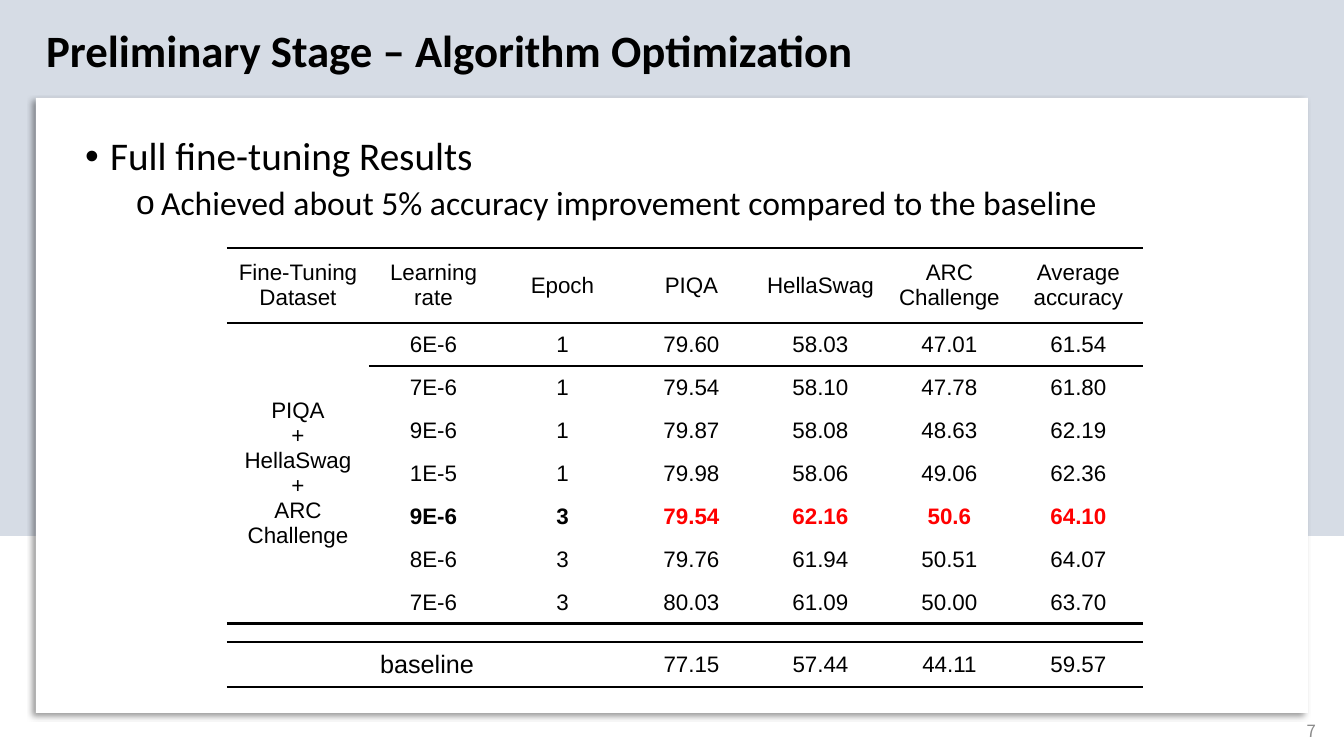
import lxml.etree
import pptx
import pptx.dml.color
import pptx.enum.shapes
import pptx.enum.text
import pptx.oxml.ns
import pptx.util

SCALE = 914400 / 100.8
SLIDE_WIDTH, SLIDE_HEIGHT = 1344, 756
COLORS = {
    "band": "D6DCE5",
    "panel": "FFFFFF",
    "text": "000000",
    "best": "FF0000",
    "number": "8C8C8C",
}
ALIGN = pptx.enum.text.PP_ALIGN
ANCHOR = pptx.enum.text.MSO_ANCHOR
NO_STYLE = "{2D5ABB26-0587-4C30-8999-92F81FD0307C}"
VALUE_WIDTH = 129
CELL_MARGIN = 7

HEADINGS = [
    "Fine-Tuning\nDataset", "Learning\nrate", "Epoch", "PIQA",
    "HellaSwag", "ARC\nChallenge", "Average\naccuracy",
]
DATASET = "PIQA\n+\nHellaSwag\n+\nARC\nChallenge"
RESULTS = [
    ["6E-6", "1", "79.60", "58.03", "47.01", "61.54"],
    ["7E-6", "1", "79.54", "58.10", "47.78", "61.80"],
    ["9E-6", "1", "79.87", "58.08", "48.63", "62.19"],
    ["1E-5", "1", "79.98", "58.06", "49.06", "62.36"],
    ["9E-6", "3", "79.54", "62.16", "50.6", "64.10"],
    ["8E-6", "3", "79.76", "61.94", "50.51", "64.07"],
    ["7E-6", "3", "80.03", "61.09", "50.00", "63.70"],
]
BEST_ROW = 5
BASELINE = ["baseline", "77.15", "57.44", "44.11", "59.57"]


def px(length):
    return pptx.util.Emu(round(length * SCALE))


def rgb(name):
    return pptx.dml.color.RGBColor.from_string(COLORS[name])


def add_element(parent, tag, **attributes):
    element = lxml.etree.SubElement(parent, pptx.oxml.ns.qn(tag))
    for name, value in attributes.items():
        element.set(name, str(value))
    return element


def place(shape, box):
    shape.left, shape.top, shape.width, shape.height = map(px, box)


def write_text(frame, text, size=16, font="Arial", color="text", bold=False,
               align=ALIGN.LEFT):
    frame.text = text
    for paragraph in frame.paragraphs:
        paragraph.alignment = align
        for run in paragraph.runs:
            run.font.size = pptx.util.Pt(size)
            run.font.name = font
            run.font.bold = bold
            run.font.color.rgb = rgb(color)


def add_rectangle(slide, box, color):
    shape = slide.shapes.add_shape(
        pptx.enum.shapes.MSO_SHAPE.RECTANGLE, *map(px, box))
    shape.shadow.inherit = False
    shape.fill.solid()
    shape.fill.fore_color.rgb = rgb(color)
    shape.line.fill.background()
    return shape


def add_backdrop(slide, box):
    left, top, width, height = box
    band = add_rectangle(slide, (left, top, width, 536), "band")
    panel = add_rectangle(
        slide, (left + 36, top + 98, width - 72, height - 141), "panel")
    effects = panel.element.spPr.find(pptx.oxml.ns.qn("a:effectLst"))
    shadow = add_element(
        effects, "a:outerShdw", blurRad=pptx.util.Pt(4), dist=pptx.util.Pt(3),
        dir=135 * 60000, algn="tr", rotWithShape=0)
    shadow_color = add_element(shadow, "a:srgbClr", val=COLORS["text"])
    add_element(shadow_color, "a:alpha", val=40000)
    for position, shape in enumerate((band, panel), start=2):
        shape.element.getparent().insert(position, shape.element)


def fill_title(slide, box):
    title = slide.shapes.title
    place(title, box)
    frame = title.text_frame
    frame.word_wrap = False
    frame.auto_size = pptx.enum.text.MSO_AUTO_SIZE.SHAPE_TO_FIT_TEXT
    frame.vertical_anchor = ANCHOR.TOP
    write_text(frame, "Preliminary Stage – Algorithm Optimization",
               size=32, font="Calibri", bold=True)


def fill_body(slide, box):
    body = slide.placeholders[1]
    place(body, box)
    frame = body.text_frame
    frame.auto_size = pptx.enum.text.MSO_AUTO_SIZE.NONE
    write_text(
        frame,
        "Full fine-tuning Results\n"
        "Achieved about 5% accuracy improvement compared to the baseline",
        size=28, font="Calibri")
    formats = [(0, 25, "•", 28, 0), (1, 76, "o", 24, 5)]
    for paragraph, (level, margin, bullet, size, space) in zip(
            frame.paragraphs, formats):
        properties = paragraph._p.get_or_add_pPr()
        properties.set("marL", str(px(margin)))
        properties.set("indent", str(px(-25)))
        add_element(properties, "a:buChar", char=bullet)
        paragraph.level = level
        paragraph.line_spacing = 0.9
        paragraph.space_before = pptx.util.Pt(space)
        paragraph.runs[0].font.size = pptx.util.Pt(size)


def add_plain_table(slide, box, column_widths, row_heights):
    frame = slide.shapes.add_table(
        len(row_heights), len(column_widths), *map(px, box))
    next(frame.element.iter(pptx.oxml.ns.qn("a:tableStyleId"))).text = NO_STYLE
    table = frame.table
    table.first_row = table.horz_banding = False
    for column, width in zip(table.columns, column_widths):
        column.width = px(width)
    for row, height in zip(table.rows, row_heights):
        row.height = px(height)
    return table


def format_cell(cell, text, borders, **text_format):
    cell.margin_left = cell.margin_right = px(CELL_MARGIN)
    cell.margin_top = cell.margin_bottom = px(CELL_MARGIN)
    cell.vertical_anchor = ANCHOR.MIDDLE
    write_text(cell.text_frame, text, align=ALIGN.CENTER, **text_format)
    properties = cell._tc.get_or_add_tcPr()
    for side in borders:
        line = add_element(properties, f"a:ln{side}", w=pptx.util.Pt(2.25))
        fill = add_element(line, "a:solidFill")
        add_element(fill, "a:srgbClr", val=COLORS["text"])
    cell.fill.background()


def add_results(slide, box):
    width, height = box[2:]
    values = len(HEADINGS) - 1
    row_height = 43
    table = add_plain_table(
        slide, box,
        [width - values * VALUE_WIDTH] + [VALUE_WIDTH] * values,
        [height - len(RESULTS) * row_height] + [row_height] * len(RESULTS))
    last = len(RESULTS)
    row_borders = {0: "TB", 1: "T", last: "B"}
    rows = [HEADINGS] + [[""] + values for values in RESULTS]
    rows[1][0] = DATASET
    table.cell(1, 0).merge(table.cell(last, 0))
    for row, texts in enumerate(rows):
        for column, text in enumerate(texts):
            best = row == BEST_ROW
            borders = "TB" if (row, column) == (1, 0) else row_borders.get(row, "")
            format_cell(table.cell(row, column), text, borders, bold=best,
                        color="best" if best and column > 2 else "text")


def add_baseline(slide, box):
    width, height = box[2:]
    values = len(BASELINE) - 1
    table = add_plain_table(
        slide, box,
        [width - values * VALUE_WIDTH] + [VALUE_WIDTH] * values, [height])
    for column, text in enumerate(BASELINE):
        format_cell(table.cell(0, column), text, "TB",
                    size=16 if column else 18)


def add_page_number(slide, box):
    frame = slide.shapes.add_textbox(*map(px, box)).text_frame
    frame.word_wrap = True
    frame.vertical_anchor = ANCHOR.MIDDLE
    write_text(frame, "7", size=12, font="Noto Sans CJK KR", color="number",
               align=ALIGN.RIGHT)


def main():
    presentation = pptx.Presentation()
    presentation.slide_width = px(SLIDE_WIDTH)
    presentation.slide_height = px(SLIDE_HEIGHT)
    slide = presentation.slides.add_slide(presentation.slide_layouts[1])
    add_backdrop(slide, (0, 0, SLIDE_WIDTH, SLIDE_HEIGHT))
    add_page_number(slide, (1024, 711, 302, 40))
    fill_title(slide, (36, 18, 836, 65))
    fill_body(slide, (75, 132, 1196, 492))
    add_results(slide, (227, 248, 916, 376))
    add_baseline(slide, (227, 642, 916, 45))
    presentation.save("out.pptx")


if __name__ == "__main__":
    main()
